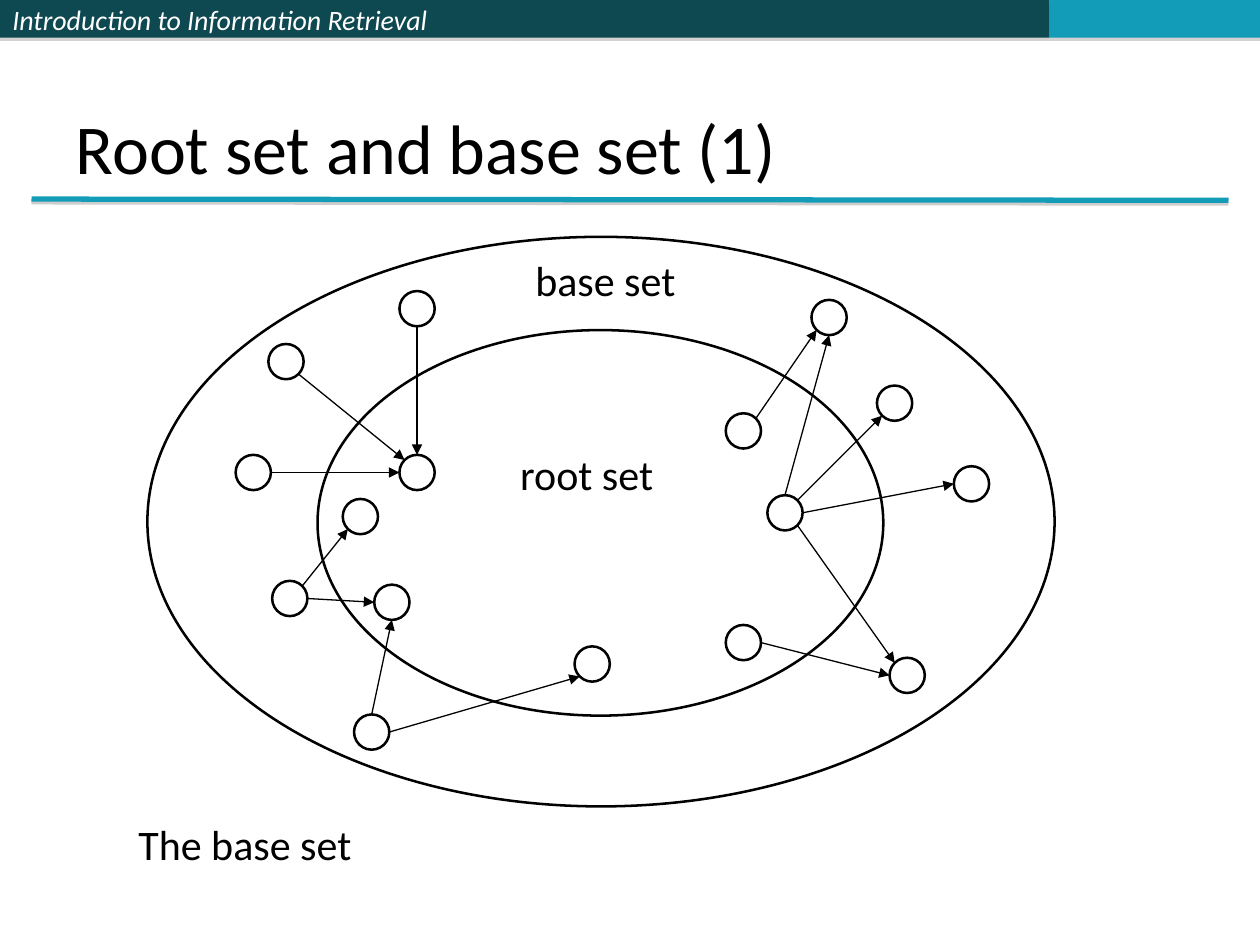
from dataclasses import dataclass
from math import cos, radians, sin

from lxml.etree import SubElement
from pptx import Presentation
from pptx.dml.color import RGBColor
from pptx.enum.shapes import MSO_CONNECTOR, MSO_SHAPE
from pptx.enum.text import MSO_ANCHOR, PP_ALIGN
from pptx.oxml.ns import qn
from pptx.util import Inches, Pt


@dataclass(frozen=True)
class Theme:
    font: str = "Calibri"
    ink: RGBColor = RGBColor(0, 0, 0)
    paper: RGBColor = RGBColor(255, 255, 255)
    dark: RGBColor = RGBColor(0x0E, 0x48, 0x51)
    accent: RGBColor = RGBColor(0x13, 0x9C, 0xB7)
    shadow: str = "808080"
    header_size: Pt = Pt(16)
    label_size: Pt = Pt(24)
    title_size: Pt = Pt(40)
    outline: Pt = Pt(1.45)
    arrow: Pt = Pt(0.75)
    rule: Pt = Pt(3)


THEME = Theme()
COLUMNS, ROWS = 100, 75
CELL = Inches(10) // COLUMNS
NODE_SIZE = 2.8
BAR_HEIGHT = 3

NODES = {
    "top": (31.7, 23.1),
    "upper left": (21.3, 27.3),
    "left": (18.7, 36.1),
    "left hub": (31.7, 36.1),
    "lower left": (21.6, 46.1),
    "left root": (27.2, 39.6),
    "lower root": (29.7, 46.4),
    "bottom": (28.1, 56.7),
    "bottom root": (45.6, 51.3),
    "upper root": (57.6, 32.8),
    "upper right": (64.4, 23.8),
    "right": (69.6, 30.6),
    "right hub": (60.9, 39.3),
    "far right": (75.7, 37),
    "right root": (57.6, 49.6),
    "lower right": (70.6, 52.2),
}

ANGLES = {side: 45 * turn for turn, side in enumerate(
    ["E", "SE", "S", "SW", "W", "NW", "N", "NE"])}

LINKS = [
    ("upper left", "SE", "left hub", "NW"),
    ("left", "E", "left hub", "W"),
    ("top", "S", "left hub", "N"),
    ("lower left", "NE", "left root", "SW"),
    ("lower left", "E", "lower root", "W"),
    ("bottom", "N", "lower root", "S"),
    ("bottom", "E", "bottom root", "SW"),
    ("upper root", "NE", "upper right", "SW"),
    ("right hub", "N", "upper right", "S"),
    ("right hub", "NE", "right", "SW"),
    ("right hub", "E", "far right", "W"),
    ("right hub", "SE", "lower right", "NW"),
    ("right root", "E", "lower right", "W"),
]


def cells(*counts):
    return [round(count * CELL) for count in counts]


def add_effects(shape, drop=None, opacity=None):
    properties = shape._element.spPr
    effects = SubElement(properties, qn("a:effectLst"))
    if drop:
        shadow = SubElement(effects, qn("a:outerShdw"), blurRad="0",
                            dist=str(Pt(drop)), dir="5400000",
                            algn="ctr", rotWithShape="0")
        color = SubElement(shadow, qn("a:srgbClr"), val=THEME.shadow)
        SubElement(color, qn("a:alpha"), val=str(opacity * 1000))


def write(frame, text, size, color, italic=False):
    frame.text = text
    paragraph = frame.paragraphs[0]
    paragraph.alignment = PP_ALIGN.LEFT
    font = paragraph.font
    font.name, font.size, font.italic = THEME.font, size, italic
    font.color.rgb = color


def add_bar(page, left, width, fill):
    bar = page.shapes.add_shape(
        MSO_SHAPE.RECTANGLE, *cells(left, 0, width, BAR_HEIGHT))
    bar.fill.solid()
    bar.fill.fore_color.rgb = fill
    bar.line.fill.background()
    add_effects(bar, drop=1.8, opacity=35)
    return bar


def add_ellipse(page, left, top, width, height):
    ellipse = page.shapes.add_shape(
        MSO_SHAPE.OVAL, *cells(left, top, width, height))
    ellipse.shadow.inherit = False
    ellipse.fill.background()
    ellipse.line.color.rgb = THEME.ink
    ellipse.line.width = THEME.outline


def add_line(page, start, end, color, width):
    line = page.shapes.add_connector(
        MSO_CONNECTOR.STRAIGHT, *cells(*start, *end))
    line.line.color.rgb = color
    line.line.width = width
    return line


def rim_point(node, side):
    left, top = NODES[node]
    angle, radius = radians(ANGLES[side]), NODE_SIZE / 2
    return (left + radius * (1 + cos(angle)),
            top + radius * (1 + sin(angle)))


def add_link(page, source, source_side, target, target_side):
    link = add_line(page, rim_point(source, source_side),
                    rim_point(target, target_side), THEME.ink, THEME.arrow)
    SubElement(link.line._get_or_add_ln(), qn("a:tailEnd"), type="triangle")
    add_effects(link)


def add_label(page, text, left, top, width):
    box = page.shapes.add_textbox(*cells(left, top, width, 5))
    box.text_frame.word_wrap = False
    write(box.text_frame, text, THEME.label_size, THEME.ink)


def add_header(page):
    heading = add_bar(page, 0, 40.8, THEME.dark)
    heading.text_frame.vertical_anchor = MSO_ANCHOR.MIDDLE
    write(heading.text_frame, "Introduction to Information Retrieval",
          THEME.header_size, THEME.paper, italic=True)
    add_bar(page, 40.8, 42.5, THEME.dark)
    add_bar(page, 83.3, 16.7, THEME.accent)
    rule = add_line(page, (2.5, 15.8), (97.5, 15.9), THEME.accent, THEME.rule)
    add_effects(rule, drop=1.6, opacity=38)


def set_title(page, text):
    title = page.shapes.title
    title.left, title.top, title.width, title.height = cells(5, 1.1, 90, 14.4)
    title.text_frame.vertical_anchor = MSO_ANCHOR.BOTTOM
    write(title.text_frame, text, THEME.title_size, THEME.ink)


def add_sets(page):
    add_ellipse(page, 25.2, 26.2, 44.9, 30.6)
    for left, top in NODES.values():
        add_ellipse(page, left, top, NODE_SIZE, NODE_SIZE)
    add_ellipse(page, 11.7, 18.8, 72, 45.2)
    for link in LINKS:
        add_link(page, *link)


def main():
    deck = Presentation()
    deck.slide_width, deck.slide_height = cells(COLUMNS, ROWS)
    page = deck.slides.add_slide(deck.slide_layouts.get_by_name("Title Only"))
    add_header(page)
    set_title(page, "Root set and base set (1)")
    add_sets(page)
    add_label(page, "The base set", 10, 64.5, 21.3)
    add_label(page, "root set", 40.3, 35.1, 13.1)
    add_label(page, "base set", 41.5, 19.7, 14.6)
    deck.save("out.pptx")


if __name__ == "__main__":
    main()
